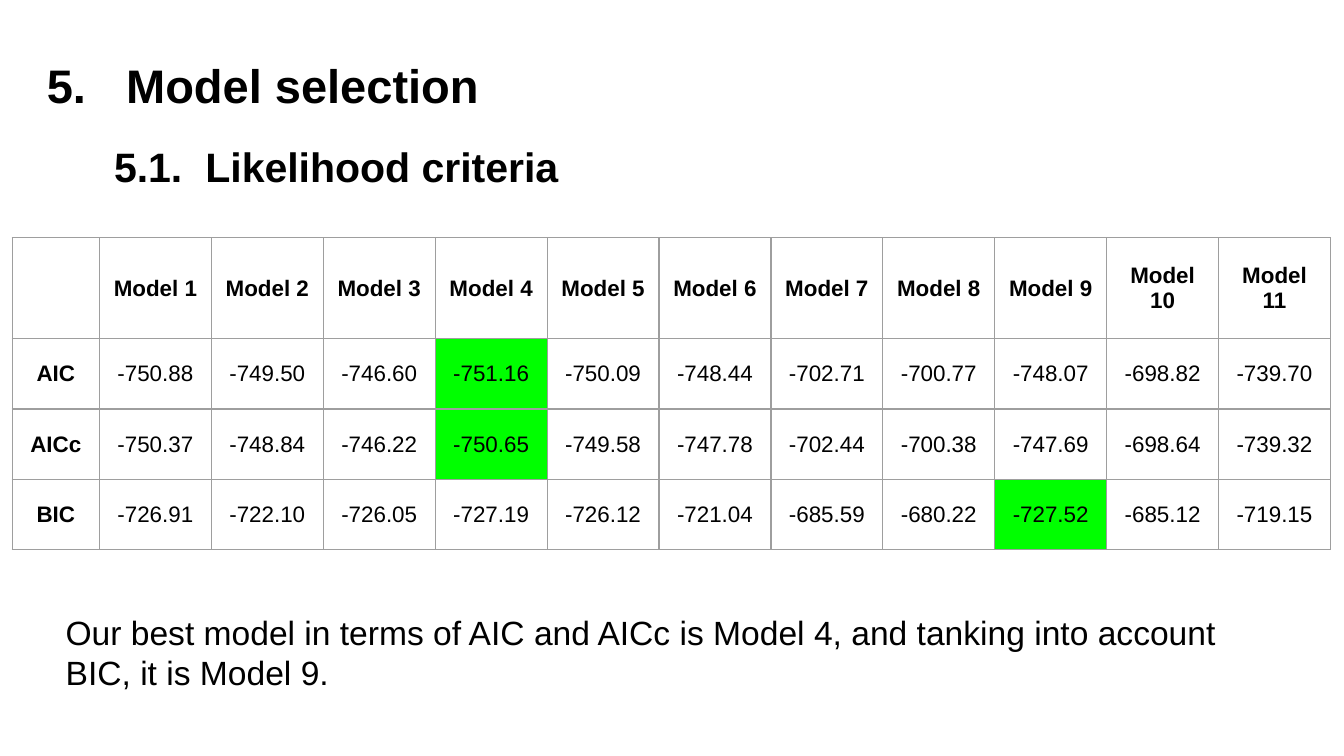
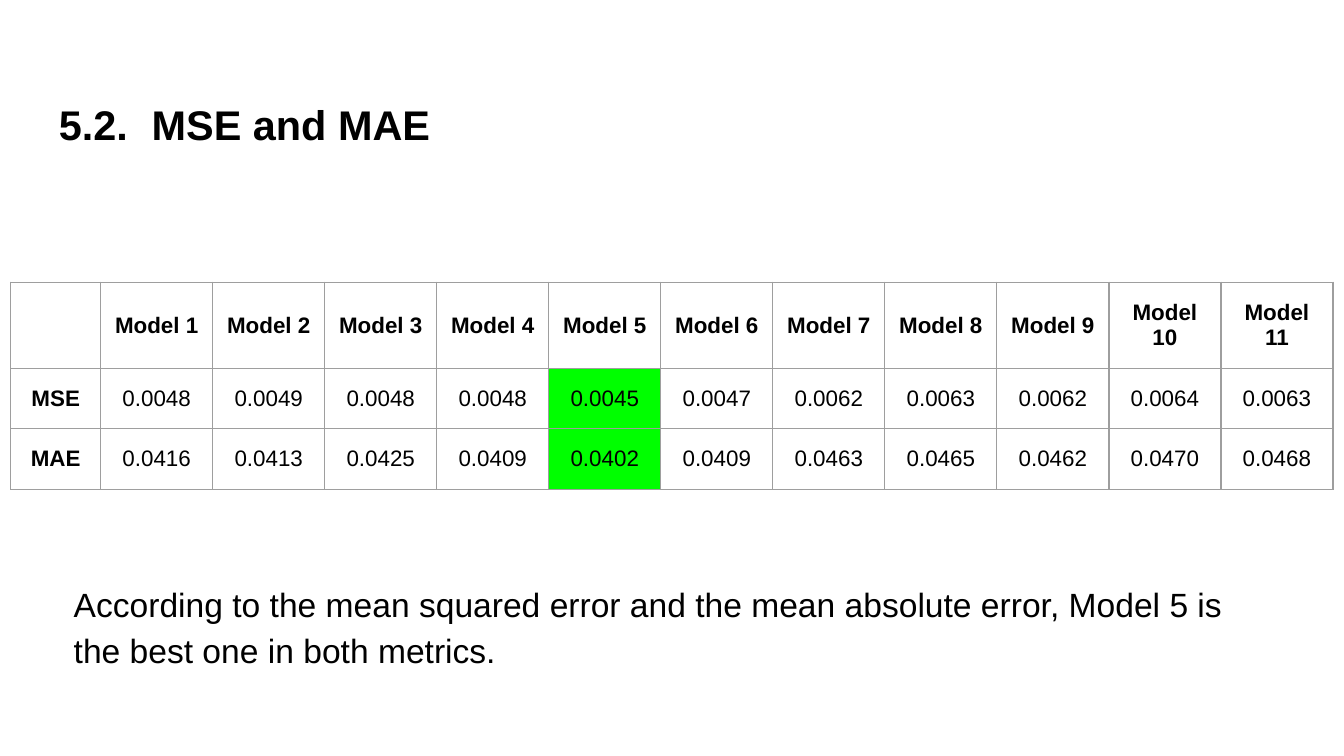
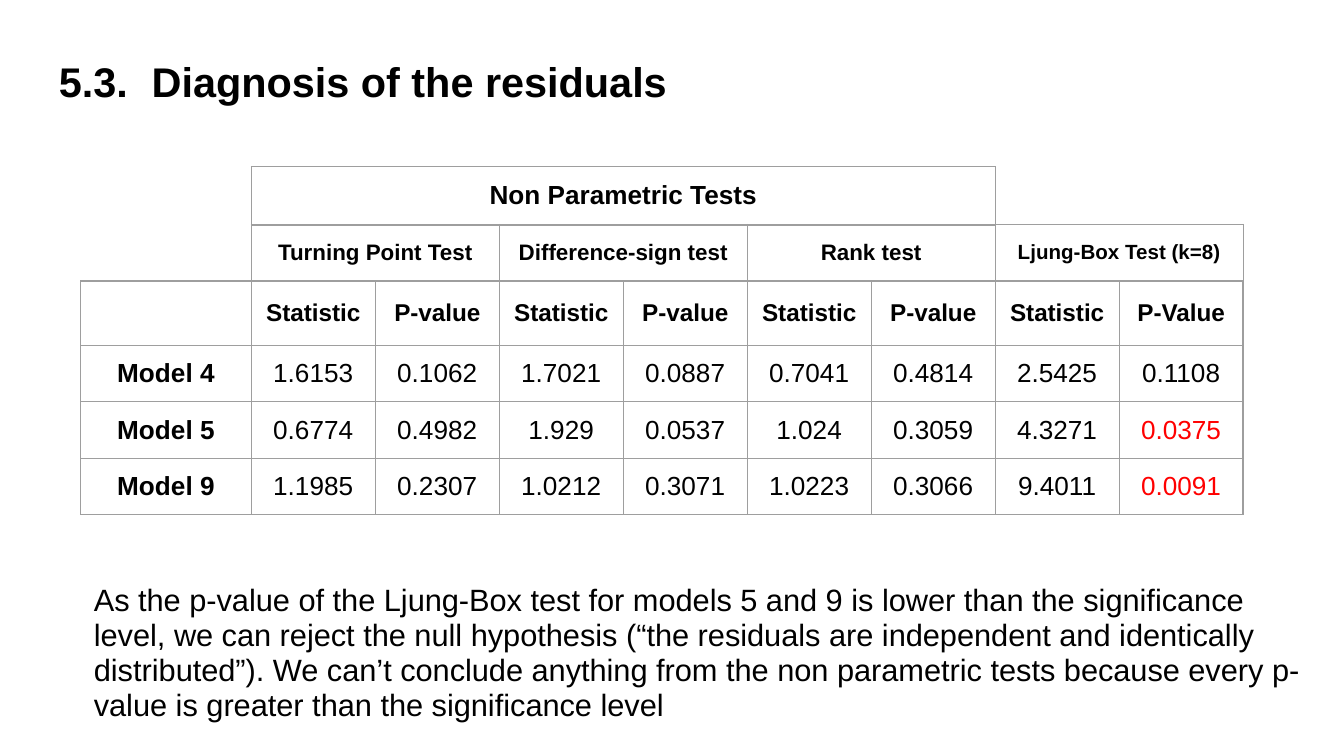
import dataclasses

import lxml.etree
import pptx
import pptx.dml.color
import pptx.enum.text
import pptx.oxml.ns
import pptx.util

Inches = pptx.util.Inches
Anchor = pptx.enum.text.MSO_ANCHOR
Align = pptx.enum.text.PP_ALIGN


@dataclasses.dataclass(frozen=True)
class Theme:
    font: str = "Arial"
    text: str = "000000"
    best: str = "00FF00"
    rejected: str = "FF0000"
    border: str = "9E9E9E"
    border_pt: float = 0.75
    section: float = 25.2
    heading: float = 22.2
    subheading: float = 22
    body: float = 18
    small_body: float = 16.5
    cell: float = 12
    small_cell: float = 11
    column_head: float = 13
    large_cell: float = 14
    inset: float = 0.1


THEME = Theme()

MODELS = [f"Model {n}" for n in range(1, 12)]

LIKELIHOOD = [
    ["", *MODELS],
    ["AIC", "-750.88", "-749.50", "-746.60", "-751.16", "-750.09", "-748.44",
     "-702.71", "-700.77", "-748.07", "-698.82", "-739.70"],
    ["AICc", "-750.37", "-748.84", "-746.22", "-750.65", "-749.58", "-747.78",
     "-702.44", "-700.38", "-747.69", "-698.64", "-739.32"],
    ["BIC", "-726.91", "-722.10", "-726.05", "-727.19", "-726.12", "-721.04",
     "-685.59", "-680.22", "-727.52", "-685.12", "-719.15"],
]

ERRORS = [
    ["", *MODELS],
    ["MSE", "0.0048", "0.0049", "0.0048", "0.0048", "0.0045", "0.0047",
     "0.0062", "0.0063", "0.0062", "0.0064", "0.0063"],
    ["MAE", "0.0416", "0.0413", "0.0425", "0.0409", "0.0402", "0.0409",
     "0.0463", "0.0465", "0.0462", "0.0470", "0.0468"],
]

RESIDUALS = [
    ["", *["Statistic", "P-value"] * 3, "Statistic", "P-Value"],
    ["Model 4", "1.6153", "0.1062", "1.7021", "0.0887", "0.7041", "0.4814", "2.5425", "0.1108"],
    ["Model 5", "0.6774", "0.4982", "1.929", "0.0537", "1.024", "0.3059", "4.3271", "0.0375"],
    ["Model 9", "1.1985", "0.2307", "1.0212", "0.3071", "1.0223", "0.3066", "9.4011", "0.0091"],
]

TESTS = ["Turning Point Test", "Difference-sign test", "Rank test", "Ljung-Box Test (k=8)"]


def rgb(value):
    return pptx.dml.color.RGBColor.from_string(value)


def write(tf, text, *, size, bold=False, color=THEME.text, align=None, spacing=None):
    p = tf.paragraphs[0]
    p.alignment = align
    p.line_spacing = spacing
    r = p.add_run()
    r.text = text
    r.font.name = THEME.font
    r.font.size = pptx.util.Pt(size)
    r.font.bold = bold
    r.font.color.rgb = rgb(color)
    return p


def add_text(s, text, left, top, width, height, **fmt):
    sp = s.shapes.add_textbox(Inches(left), Inches(top), Inches(width), Inches(height))
    tf = sp.text_frame
    tf.word_wrap = True
    tf.margin_left = tf.margin_right = Inches(THEME.inset)
    tf.margin_top = tf.margin_bottom = Inches(THEME.inset)
    return write(tf, text, **fmt)


def add_heading(s, number, title, left, top, width=9.32, height=0.63, *,
                size=THEME.heading, tab=0.69):
    """Bold heading whose title starts at a tab stop after its number."""
    p = add_text(s, f"{number}\t{title}", left, top, width, height, size=size, bold=True)
    tabs = lxml.etree.SubElement(p._p.get_or_add_pPr(), pptx.oxml.ns.qn("a:tabLst"))
    lxml.etree.SubElement(tabs, pptx.oxml.ns.qn("a:tab"), pos=str(Inches(tab)), algn="l")


def set_borders(cell):
    tc_pr = cell._tc.get_or_add_tcPr()
    for i, side in enumerate(("lnL", "lnR", "lnT", "lnB")):
        ln = lxml.etree.Element(pptx.oxml.ns.qn(f"a:{side}"),
                                w=str(pptx.util.Pt(THEME.border_pt)))
        fill = lxml.etree.SubElement(ln, pptx.oxml.ns.qn("a:solidFill"))
        lxml.etree.SubElement(fill, pptx.oxml.ns.qn("a:srgbClr"), val=THEME.border)
        tc_pr.insert(i, ln)


def add_table(s, rows, left, top, widths, heights, *, size=THEME.cell, header_size=None,
              sizes=None, best=(), rejected=(), inset_y=THEME.inset):
    """Grid with bold first row and column.

    sizes, best and rejected refer to cells by (row, column).
    """
    frame = s.shapes.add_table(len(rows), len(widths), Inches(left), Inches(top),
                               Inches(sum(widths)), Inches(sum(heights)))
    table = frame.table
    table.first_row = table.horz_banding = False
    for column, width in zip(table.columns, widths):
        column.width = Inches(width)
    for row, height in zip(table.rows, heights):
        row.height = Inches(height)
    for i, values in enumerate(rows):
        for j, value in enumerate(values):
            cell = table.cell(i, j)
            cell.vertical_anchor = Anchor.MIDDLE
            cell.margin_left = cell.margin_right = Inches(THEME.inset)
            cell.margin_top = cell.margin_bottom = Inches(inset_y)
            if (i, j) in best:
                cell.fill.solid()
                cell.fill.fore_color.rgb = rgb(THEME.best)
            else:
                cell.fill.background()
            set_borders(cell)
            if value:
                default = header_size if header_size and i == 0 else size
                write(cell.text_frame, value, size=(sizes or {}).get((i, j), default),
                      bold=i == 0 or j == 0, align=Align.CENTER,
                      color=THEME.rejected if (i, j) in rejected else THEME.text)


def likelihood_slide(s):
    add_heading(s, "5.", "Model selection", 0.25, 0.32, size=THEME.section, tab=0.59)
    add_heading(s, "5.1.", "Likelihood criteria", 0.75, 0.95, 3.71, 0.57,
                size=THEME.subheading, tab=0.68)
    add_table(s, LIKELIHOOD, 0.09, 1.77, [0.65] + [9.16 / 11] * 11, [0.75] + [1.57 / 3] * 3,
              best={(1, 4), (2, 4), (3, 9)})
    add_text(s, "Our best model in terms of AIC and AICc is Model 4, and tanking into account "
             "BIC, it is Model 9.", 0.39, 4.45, 9.05, 0.81, size=THEME.body)


def errors_slide(s):
    add_heading(s, "5.2.", "MSE and MAE", 0.34, 0.64)
    add_text(s, "According to the mean squared error and the mean absolute error, Model 5 is "
             "the best one in both metrics.", 0.45, 4.2, 9.05, 0.81,
             size=THEME.body, spacing=1.15)
    add_table(s, ERRORS, 0.08, 2.1, [0.67] + [9.17 / 11] * 11, [0.64] + [0.45] * 2,
              best={(1, 5), (2, 5)})


def residuals_slide(s):
    left, top = 0.6, 1.24
    label_w, test_w = 1.27, 7.38 / 4
    group_h, row_h = 0.43, 0.42
    tests_left = left + label_w
    add_heading(s, "5.3.", "Diagnosis of the residuals", 0.34, 0.32)
    add_text(s, "As the p-value of the Ljung-Box test for models 5 and 9 is lower than the "
             "significance level, we can reject the null hypothesis (“the residuals are "
             "independent and identically distributed”). We can’t conclude anything from the "
             "non parametric tests because every p-value is greater than the significance level",
             left, 4.24, 9.32, 1.14, size=THEME.small_body, spacing=0.95)
    add_table(s, RESIDUALS, left, top + group_h + row_h, [label_w] + [test_w / 2] * 8,
              [row_h] * 4, size=THEME.large_cell, header_size=THEME.column_head,
              rejected={(2, 8), (3, 8)}, inset_y=0.09)
    add_table(s, [["Non Parametric Tests"]], tests_left, top, [3 * test_w], [group_h],
              size=THEME.large_cell)
    add_table(s, [TESTS], tests_left, top + group_h, [test_w] * 4, [row_h],
              sizes={(0, 3): THEME.small_cell})


def main():
    prs = pptx.Presentation()
    prs.slide_width = Inches(10)
    prs.slide_height = Inches(10 * 9 / 16)
    for build in (likelihood_slide, errors_slide, residuals_slide):
        build(prs.slides.add_slide(prs.slide_layouts[6]))
    prs.save("out.pptx")


if __name__ == "__main__":
    main()
